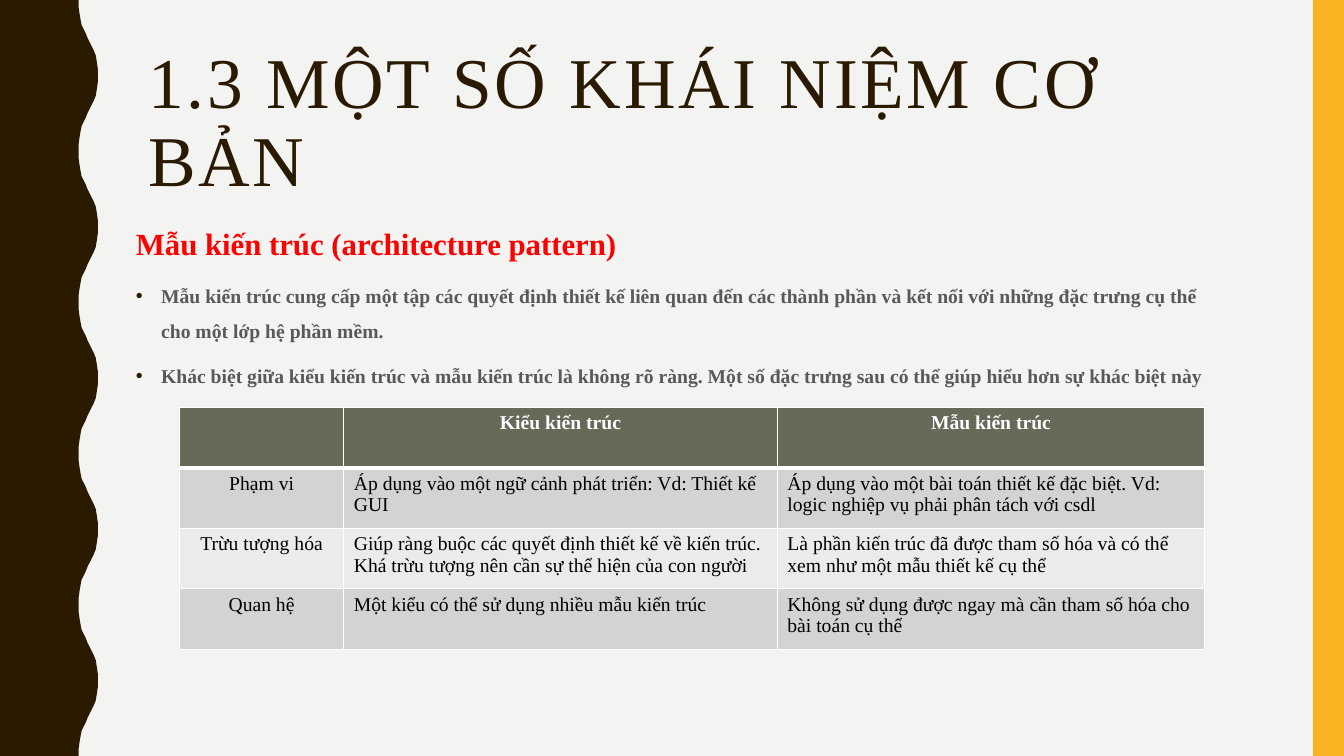
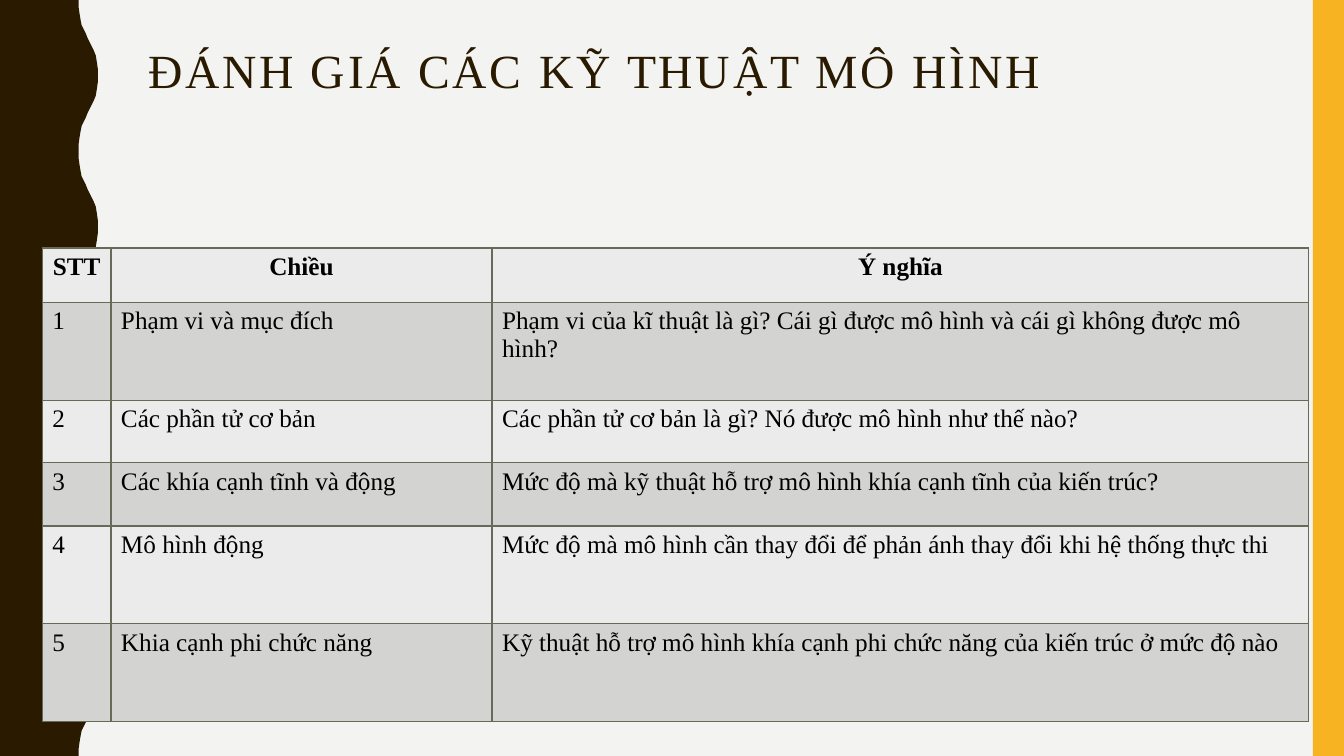
"""Build two slides on architecture patterns and the evaluation of modelling techniques."""
from lxml.etree import SubElement
from pptx import Presentation
from pptx.dml.color import RGBColor
from pptx.enum.shapes import MSO_SHAPE as SHAPE
from pptx.enum.text import MSO_ANCHOR as ANCHOR, PP_ALIGN as ALIGN
from pptx.oxml.ns import qn
from pptx.util import Inches, Pt

C = {"bg": "F3F3F2", "brown": "2A1A00", "gold": "F8B323", "red": "FF0000",
     "gray": "595959", "olive": "656A59", "dark": "D3D4D1", "light": "EAEBEA",
     "white": "FFFFFF", "black": "000000"}
FONT = "Times New Roman"
PERIOD = 1.5
HALF_WAVE = [(0.78, 0), (0.78, 0.07), (0.79, 0.14), (0.8, 0.2), (0.81, 0.25),
             (0.83, 0.29), (0.85, 0.33), (0.87, 0.38), (0.89, 0.42), (0.91, 0.46),
             (0.93, 0.5), (0.95, 0.55), (0.96, 0.61), (0.97, 0.68), (0.97, 0.75)]
WAVE = HALF_WAVE + [(x, PERIOD - y) for x, y in HALF_WAVE[-2::-1]]

SLIDES = [
    {"title": "1.3 MỘT SỐ KHÁI NIỆM CƠ BẢN", "title_size": 51,
     "body": [
         ("Mẫu kiến trúc (architecture pattern)", 22, "red", False),
         ("Mẫu kiến trúc cung cấp một tập các quyết định thiết kế liên quan đến các thành phần "
          "và kết nối với những đặc trưng cụ thể cho một lớp hệ phần mềm.", 14, "gray", True),
         ("Khác biệt giữa kiểu kiến trúc và mẫu kiến trúc là không rõ ràng. Một số đặc trưng sau "
          "có thể giúp hiểu hơn sự khác biệt này", 14, "gray", True)],
     "at": (1.78, 4.04), "cols": [1.63, 4.3, 4.24], "heights": [0.6] * 4,
     "size": 14, "border": "white", "header": ("olive", "white"), "rule": 3, "centred": [0],
     "rows": [
         ("", "Kiểu kiến trúc", "Mẫu kiến trúc"),
         ("Phạm vi", "Áp dụng vào một ngữ cảnh phát triển: Vd: Thiết kế GUI",
          "Áp dụng vào một bài toán thiết kế đặc biệt. Vd: logic nghiệp vụ phải phân tách với csdl"),
         ("Trừu tượng hóa",
          "Giúp ràng buộc các quyết định thiết kế về kiến trúc. "
          "Khá trừu tượng nên cần sự thể hiện của con người",
          "Là phần kiến trúc đã được tham số hóa và có thể xem như một mẫu thiết kế cụ thể"),
         ("Quan hệ", "Một kiểu có thể sử dụng nhiều mẫu kiến trúc",
          "Không sử dụng được ngay mà cần tham số hóa cho bài toán cụ thể")]},
    {"title": "ĐÁNH GIÁ CÁC KỸ THUẬT MÔ HÌNH", "title_size": 34,
     "body": [],
     "at": (0.42, 2.46), "cols": [0.68, 3.78, 8.1],
     "heights": [0.54, 0.97, 0.62, 0.63, 0.97, 0.97],
     "size": 18, "border": "olive", "header": ("light", "black"), "rule": 1, "centred": [],
     "rows": [
         ("STT", "Chiều", "Ý nghĩa"),
         ("1", "Phạm vi và mục đích",
          "Phạm vi của kĩ thuật là gì? Cái gì được mô hình và cái gì không được mô hình?"),
         ("2", "Các phần tử cơ bản", "Các phần tử cơ bản là gì? Nó được mô hình như thế nào?"),
         ("3", "Các khía cạnh tĩnh và động",
          "Mức độ mà kỹ thuật hỗ trợ mô hình khía cạnh tĩnh của kiến trúc?"),
         ("4", "Mô hình động",
          "Mức độ mà mô hình cần thay đổi để phản ánh thay đổi khi hệ thống thực thi"),
         ("5", "Khia cạnh phi chức năng",
          "Kỹ thuật hỗ trợ mô hình khía cạnh phi chức năng của kiến trúc ở mức độ nào")]},
]


def write(p, text, color, **fmt):
    r = p.add_run()
    r.text = text
    for key, value in {"name": FONT, "bold": False, **fmt}.items():
        setattr(r.font, key, value)
    r.font.color.rgb = RGBColor.from_string(C[color])
    return r


def add_box(s, *at):
    tf = s.shapes.add_textbox(*map(Inches, at)).text_frame
    tf.word_wrap = True
    tf.vertical_anchor = ANCHOR.TOP
    return tf


prs = Presentation()
prs.slide_width, prs.slide_height = Inches(13.33), Inches(7.5)

for page in SLIDES:
    s = prs.slides.add_slide(prs.slide_layouts[6])
    s.background.fill.solid()
    s.background.fill.fore_color.rgb = RGBColor.from_string(C["bg"])

    points = [(x, y + i * PERIOD) for i in range(5) for x, y in WAVE] + [(0, 7.5)]
    outline = s.shapes.build_freeform(0, 0)
    outline.add_line_segments([(Inches(x), Inches(y)) for x, y in points], close=True)
    wave = outline.convert_to_shape()
    band = s.shapes.add_shape(SHAPE.RECTANGLE, Inches(13.02), 0, Inches(0.31), Inches(7.5))
    for sp, color in ((wave, "brown"), (band, "gold")):
        sp.shadow.inherit = False
        sp.fill.solid()
        sp.fill.fore_color.rgb = RGBColor.from_string(C[color])
        sp.line.fill.background()

    p = add_box(s, 1.37, 0.42, 11.13, 1.63).paragraphs[0]
    p.line_spacing = 0.9
    r = write(p, page["title"], "brown", size=Pt(page["title_size"]))
    r.font._element.set("spc", "200")

    if page["body"]:
        tf = add_box(s, 1.25, 2, 10.83, 4.82)
        for i, (text, size, color, bullet) in enumerate(page["body"]):
            p = tf.add_paragraph() if i else tf.paragraphs[0]
            if bullet:
                pPr = p._p.get_or_add_pPr()
                pPr.set("marL", str(Inches(0.25)))
                pPr.set("indent", str(-Inches(0.25)))
                SubElement(SubElement(pPr, qn("a:buClr")), qn("a:srgbClr"), val=C["brown"])
                SubElement(pPr, qn("a:buFont"), typeface="Arial")
                SubElement(pPr, qn("a:buChar"), char="•")
            p.line_spacing = 1.5
            if i:
                p.space_before = Pt(7)
            write(p, text, color, size=Pt(size), bold=True)

    rows, cols, heights = page["rows"], page["cols"], page["heights"]
    size_in = (sum(cols), sum(heights))
    table = s.shapes.add_table(len(rows), len(cols), *map(Inches, page["at"] + size_in)).table
    for col, width in zip(table.columns, cols):
        col.width = Inches(width)
    for i, (row, height) in enumerate(zip(rows, heights)):
        table.rows[i].height = Inches(height)
        body_fill = "dark" if i % 2 else "light"
        fill, color = (body_fill, "black") if i else page["header"]
        rules = {"L": 1, "R": 1, "T": page["rule"] if i == 1 else 1,
                 "B": 1 if i else page["rule"]}
        for j, text in enumerate(row):
            cell = table.cell(i, j)
            tcPr = cell._tc.get_or_add_tcPr()
            for side, width in rules.items():
                ln = SubElement(tcPr, qn(f"a:ln{side}"), w=str(Pt(width)))
                SubElement(SubElement(ln, qn("a:solidFill")), qn("a:srgbClr"),
                           val=C[page["border"]])
            cell.fill.solid()
            cell.fill.fore_color.rgb = RGBColor.from_string(C[fill])
            p = cell.text_frame.paragraphs[0]
            p.alignment = ALIGN.CENTER if i == 0 or j in page["centred"] else ALIGN.LEFT
            if text:
                write(p, text, color, size=Pt(page["size"]), bold=i == 0)

prs.save("out.pptx")
